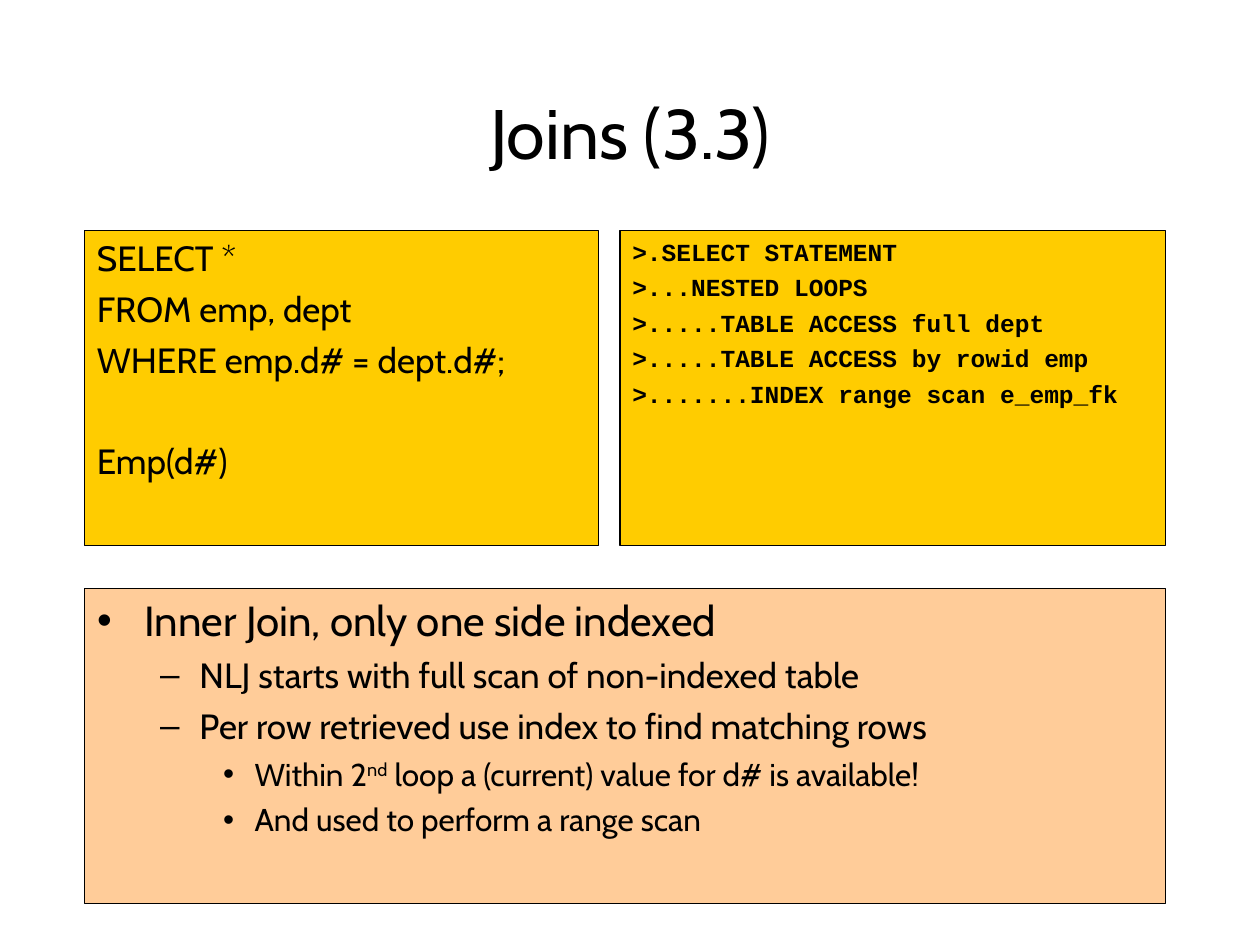
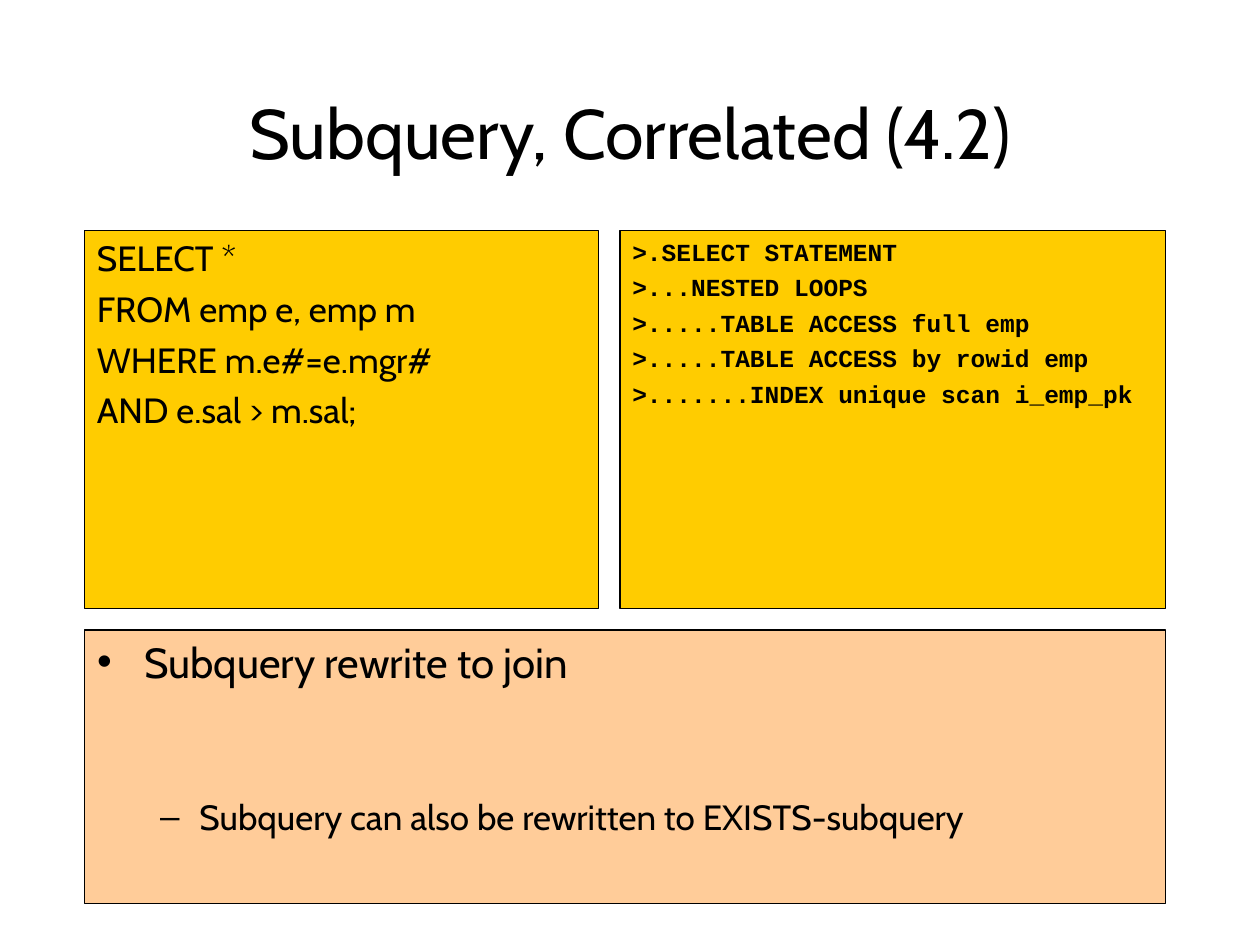
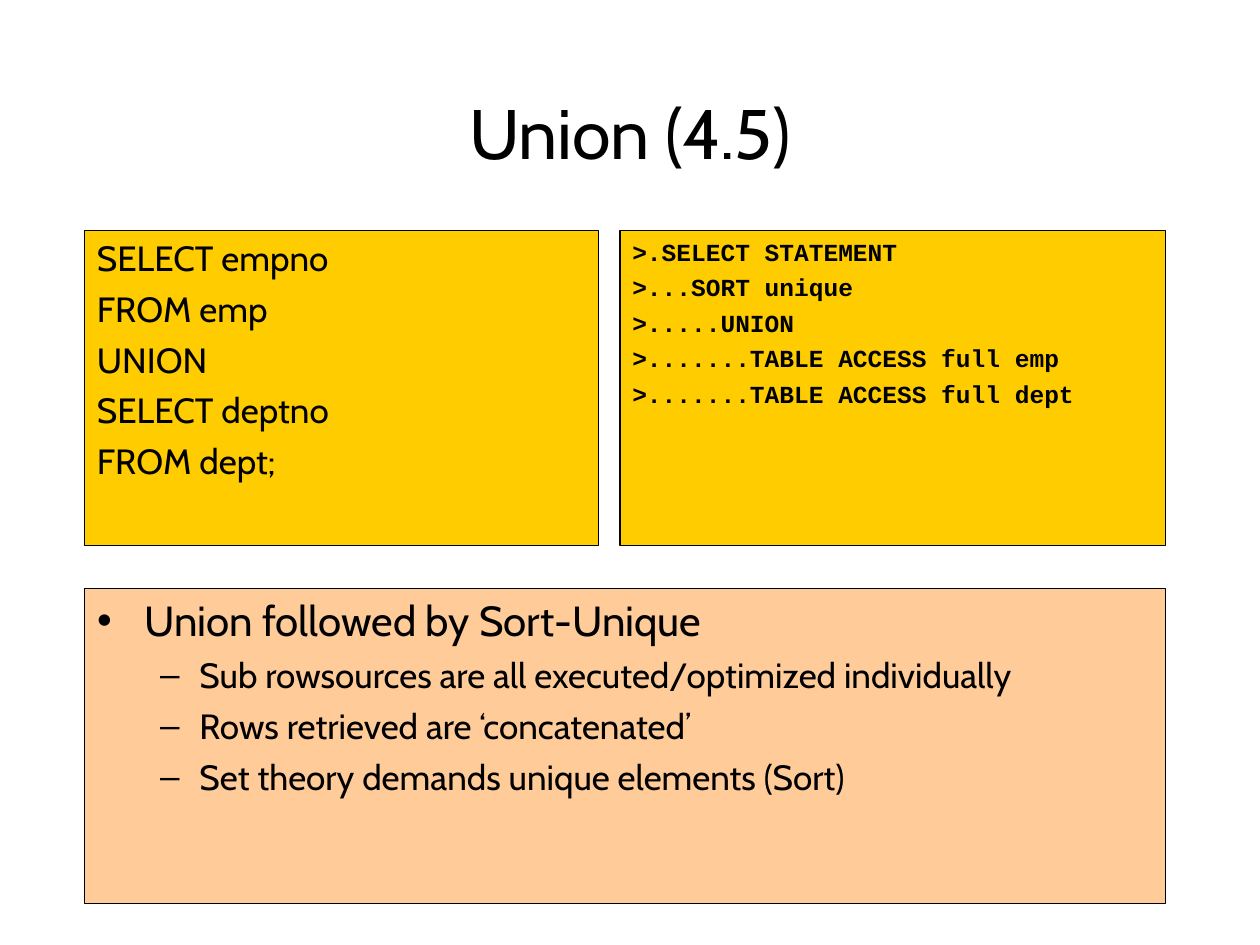
import pptx
import pptx.util
import pptx.dml.color
import pptx.enum.shapes
import pptx.enum.text

Inches = pptx.util.Inches
Pt = pptx.util.Pt
RGBColor = pptx.dml.color.RGBColor

BLACK = RGBColor(0x00, 0x00, 0x00)
GOLD = RGBColor(0xFF, 0xCC, 0x00)
PEACH = RGBColor(0xFF, 0xCC, 0x99)

LEFT, TOP, RIGHT, BOTTOM = 0.67, 1.83, 9.25, 7.17
QUERY_WIDTH = 4.08
PLAN_LEFT = 4.92
HANGING = Inches(0.38)

TITLE_FONT = {"name": "Cabin", "size": Pt(40)}
QUERY_FONT = {"name": "Cabin", "size": Pt(20)}
PLAN_FONT = {"name": "Courier New", "size": Pt(14), "bold": True}
LEVEL_FONTS = [{"name": "Cabin", "size": Pt(size)} for size in (24, 20, 18)]
LEVEL_SPACES = [6, 5, 4.5]

SLIDES = [
    {
        "title": "Joins (3.3)",
        "code_height": 2.5,
        "notes_top": 4.67,
        "query": ["SELECT *", "FROM emp, dept", "WHERE emp.d# = dept.d#;", "Emp(d#)"],
        "query_gaps": {3: 34},
        "plan": [
            ">.SELECT STATEMENT",
            ">...NESTED LOOPS",
            ">.....TABLE ACCESS full dept",
            ">.....TABLE ACCESS by rowid emp",
            ">.......INDEX range scan e_emp_fk",
        ],
        "notes": [
            (0, "Inner Join, only one side indexed"),
            (1, "NLJ starts with full scan of non-indexed table"),
            (1, "Per row retrieved use index to find matching rows"),
            (2, "Within 2^nd^ loop a (current) value for d# is available!"),
            (2, "And used to perform a range scan"),
        ],
    },
    {
        "title": "Subquery, Correlated (4.2)",
        "code_height": 3,
        "notes_top": 5,
        "query": ["SELECT *", "FROM emp e, emp m", "WHERE m.e#=e.mgr#", "AND e.sal > m.sal;"],
        "plan": [
            ">.SELECT STATEMENT",
            ">...NESTED LOOPS",
            ">.....TABLE ACCESS full emp",
            ">.....TABLE ACCESS by rowid emp",
            ">.......INDEX unique scan i_emp_pk",
        ],
        "notes": [
            (0, "Subquery rewrite to join"),
            (1, "Subquery can also be rewritten to EXISTS-subquery"),
        ],
        "notes_gaps": {1: 62},
    },
    {
        "title": "Union (4.5)",
        "code_height": 2.5,
        "notes_top": 4.67,
        "query": ["SELECT empno", "FROM emp", "UNION", "SELECT deptno", "FROM dept;"],
        "plan": [
            ">.SELECT STATEMENT",
            ">...SORT unique",
            ">.....UNION",
            ">.......TABLE ACCESS full emp",
            ">.......TABLE ACCESS full dept",
        ],
        "notes": [
            (0, "Union followed by Sort-Unique"),
            (1, "Sub rowsources are all executed/optimized individually"),
            (1, "Rows retrieved are ‘concatenated’"),
            (1, "Set theory demands unique elements (Sort)"),
        ],
    },
]


def place(sp, left, top, width, height):
    box = {"left": left, "top": top, "width": width, "height": height}
    for name, value in box.items():
        setattr(sp, name, Inches(value))


def set_panel(sp, color):
    sp.fill.solid()
    sp.fill.fore_color.rgb = color
    sp.line.color.rgb = BLACK
    sp.line.width = Pt(0.75)
    frame = {
        "word_wrap": True,
        "auto_size": pptx.enum.text.MSO_AUTO_SIZE.NONE,
        "vertical_anchor": pptx.enum.text.MSO_ANCHOR.TOP,
    }
    for name, value in frame.items():
        setattr(sp.text_frame, name, value)


def add_run(p, text, font):
    r = p.add_run()
    r.text = text
    for name, value in font.items():
        setattr(r.font, name, value)
    r.font.color.rgb = BLACK
    return r


def add_paragraph(tf, index, space):
    p = tf.add_paragraph() if index else tf.paragraphs[0]
    p.space_before = Pt(space if index else 0)
    p.alignment = pptx.enum.text.PP_ALIGN.LEFT
    return p


def set_title(s, text):
    sp = s.shapes.title
    place(sp, 0.75, 0.67, 8.5, 0.75)
    sp.text_frame.vertical_anchor = pptx.enum.text.MSO_ANCHOR.MIDDLE
    sp.text_frame.auto_size = pptx.enum.text.MSO_AUTO_SIZE.NONE
    p = sp.text_frame.paragraphs[0]
    p.alignment = pptx.enum.text.PP_ALIGN.CENTER
    add_run(p, text, TITLE_FONT)


def set_notes_panel(s, top, items, gaps):
    sp = s.placeholders[1]
    place(sp, LEFT, top, RIGHT - LEFT, BOTTOM - top)
    set_panel(sp, PEACH)
    for i, (level, text) in enumerate(items):
        p = add_paragraph(sp.text_frame, i, gaps.get(i, LEVEL_SPACES[level]))
        p.level = level
        for j, part in enumerate(text.split("^")):
            r = add_run(p, part, LEVEL_FONTS[level])
            if j % 2:
                r._r.get_or_add_rPr().set("baseline", "30000")


def add_code_panel(s, left, width, height, lines, font, space, gaps):
    sp = s.shapes.add_shape(
        pptx.enum.shapes.MSO_SHAPE.RECTANGLE,
        Inches(left), Inches(TOP), Inches(width), Inches(height),
    )
    sp.shadow.inherit = False
    set_panel(sp, GOLD)
    for i, line in enumerate(lines):
        p = add_paragraph(sp.text_frame, i, gaps.get(i, space))
        pPr = p._p.get_or_add_pPr()
        pPr.set("marL", str(HANGING))
        pPr.set("indent", str(-HANGING))
        add_run(p, line, font)


def add_query_slide(prs, data):
    s = prs.slides.add_slide(prs.slide_layouts[1])
    height = data["code_height"]
    set_title(s, data["title"])
    set_notes_panel(s, data["notes_top"], data["notes"], data.get("notes_gaps", {}))
    add_code_panel(s, PLAN_LEFT, RIGHT - PLAN_LEFT, height, data["plan"], PLAN_FONT, 3.5, {})
    add_code_panel(s, LEFT, QUERY_WIDTH, height, data["query"], QUERY_FONT, 5,
                   data.get("query_gaps", {}))


def main():
    prs = pptx.Presentation()
    prs.slide_width = Inches(10)
    prs.slide_height = Inches(7.5)
    for data in SLIDES:
        add_query_slide(prs, data)
    prs.save("out.pptx")


if __name__ == "__main__":
    main()
